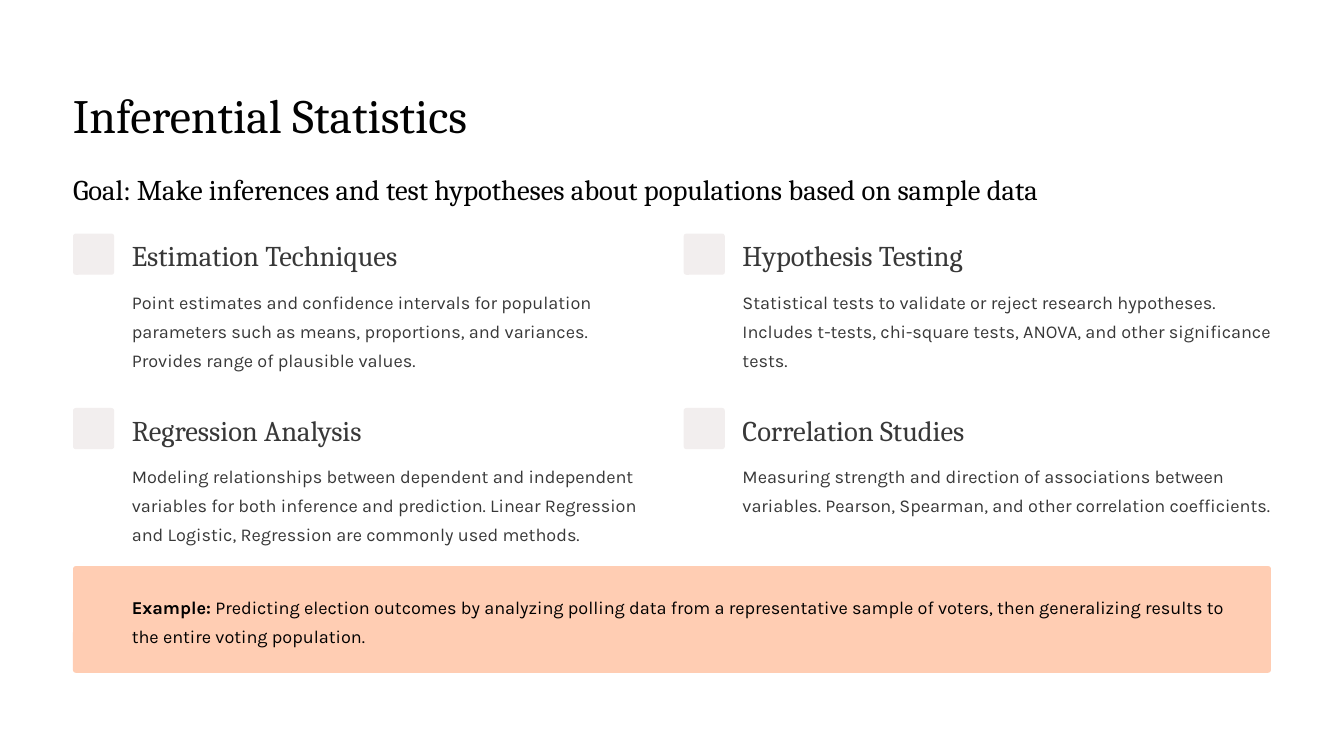
import pptx
import pptx.dml.color
import pptx.enum.shapes
import pptx.enum.text
import pptx.util
from dataclasses import dataclass

Pt = pptx.util.Pt
RGB = pptx.dml.color.RGBColor.from_string


@dataclass(frozen=True)
class Theme:
    """Colours, fonts and text formats of the slide."""
    background: str = "FFFFFF"
    marker: str = "F2EEEE"
    banner: str = "FFCDB3"
    title: tuple = ("Cambria", 41, 51, "020202")
    goal: tuple = ("Cambria", 24.5, 30.5, "020202")
    heading: tuple = ("Cambria", 24.5, 30.5, "383838")
    body: tuple = ("Karla", 15.5, 25, "383838")
    example: tuple = ("Karla", 15.5, 25, "000000")


THEME = Theme()

METHODS = [
    ("Estimation Techniques",
     "Point estimates and confidence intervals for population parameters such as "
     "means, proportions, and variances. Provides range of plausible values."),
    ("Hypothesis Testing",
     "Statistical tests to validate or reject research hypotheses. Includes t-tests, "
     "chi-square tests, ANOVA, and other significance tests."),
    ("Regression Analysis",
     "Modeling relationships between dependent and independent variables for both "
     "inference and prediction. Linear Regression and Logistic, Regression are "
     "commonly used methods."),
    ("Correlation Studies",
     "Measuring strength and direction of associations between variables. Pearson, "
     "Spearman, and other correlation coefficients."),
]


def add_text(s, box, runs, style, wrap=True):
    """Add a text box without insets from (text, bold) runs."""
    name, size, leading, color = style
    tf = s.shapes.add_textbox(*map(Pt, box)).text_frame
    frame_format = dict(margin_left=0, margin_top=0, margin_right=0, margin_bottom=0,
                        word_wrap=wrap,
                        vertical_anchor=pptx.enum.text.MSO_ANCHOR.TOP)
    for key, value in frame_format.items():
        setattr(tf, key, value)
    p = tf.paragraphs[0]
    p.line_spacing = Pt(leading)
    for text, bold in runs:
        r = p.add_run()
        r.text = text
        for key, value in dict(name=name, size=Pt(size), bold=bold).items():
            setattr(r.font, key, value)
        r.font.color.rgb = RGB(color)


def add_panel(s, box, color, radius):
    """Add a borderless rounded rectangle with a corner radius in points."""
    kind = pptx.enum.shapes.MSO_SHAPE.ROUNDED_RECTANGLE
    sp = s.shapes.add_shape(kind, *map(Pt, box))
    sp.adjustments[0] = radius / min(box[2:])
    sp.shadow.inherit = False
    sp.fill.solid()
    sp.fill.fore_color.rgb = RGB(color)
    sp.line.fill.background()


def add_header(s, box):
    """Place the title and the goal line."""
    x, y, w, h = box
    add_text(s, (x, y, 410.4, 51), [("Inferential Statistics", False)],
             THEME.title, wrap=False)
    goal = "Goal: Make inferences and test hypotheses about populations based on sample data"
    add_text(s, (x, y + h - 31, 922.3, 31), [(goal, False)], THEME.goal, wrap=False)


def add_method(s, box, heading, body):
    """Place one method: marker, heading and description."""
    x, y, w, h = box
    indent = 50.4
    add_panel(s, (x, y, 35.3, 35.3), THEME.marker, 2.36)
    add_text(s, (x + indent, y + 2.9, 250, 31), [(heading, False)],
             THEME.heading, wrap=False)
    add_text(s, (x + indent, y + 42.9, w - indent, h - 42.9), [(body, False)], THEME.body)


def add_methods(s, box):
    """Lay the methods out in a grid of two columns."""
    x, y, w, h = box
    gap_x, gap_y = 20, 31.6
    cell_w, cell_h = (w - gap_x) / 2, (h - gap_y) / 2
    for i, (heading, body) in enumerate(METHODS):
        row, col = divmod(i, 2)
        cell = (x + col * (cell_w + gap_x), y + row * (cell_h + gap_y), cell_w, cell_h)
        add_method(s, cell, heading, body)


def add_example(s, box):
    """Place the example banner."""
    x, y, w, h = box
    add_panel(s, box, THEME.banner, 2.38)
    runs = [("Example:", True),
            (" Predicting election outcomes by analyzing polling data from a "
             "representative sample of voters, then generalizing results to the "
             "entire voting population.", False)]
    add_text(s, (x + 50.4, y + 19.4, w - 66.2, 50), runs, THEME.example)


def main():
    """Build and save the slide."""
    prs = pptx.Presentation()
    prs.slide_width, prs.slide_height = Pt(1152), Pt(648)
    s = prs.slides.add_slide(prs.slide_layouts[6])
    s.background.fill.solid()
    s.background.fill.fore_color.rgb = RGB(THEME.background)
    left, width = 62.6, 1026.8
    add_header(s, (left, 71.3, width, 105.9))
    add_methods(s, (left, 200.2, width, 267.4))
    add_example(s, (left, 485.3, width, 91.4))
    prs.save("out.pptx")


if __name__ == "__main__":
    main()
